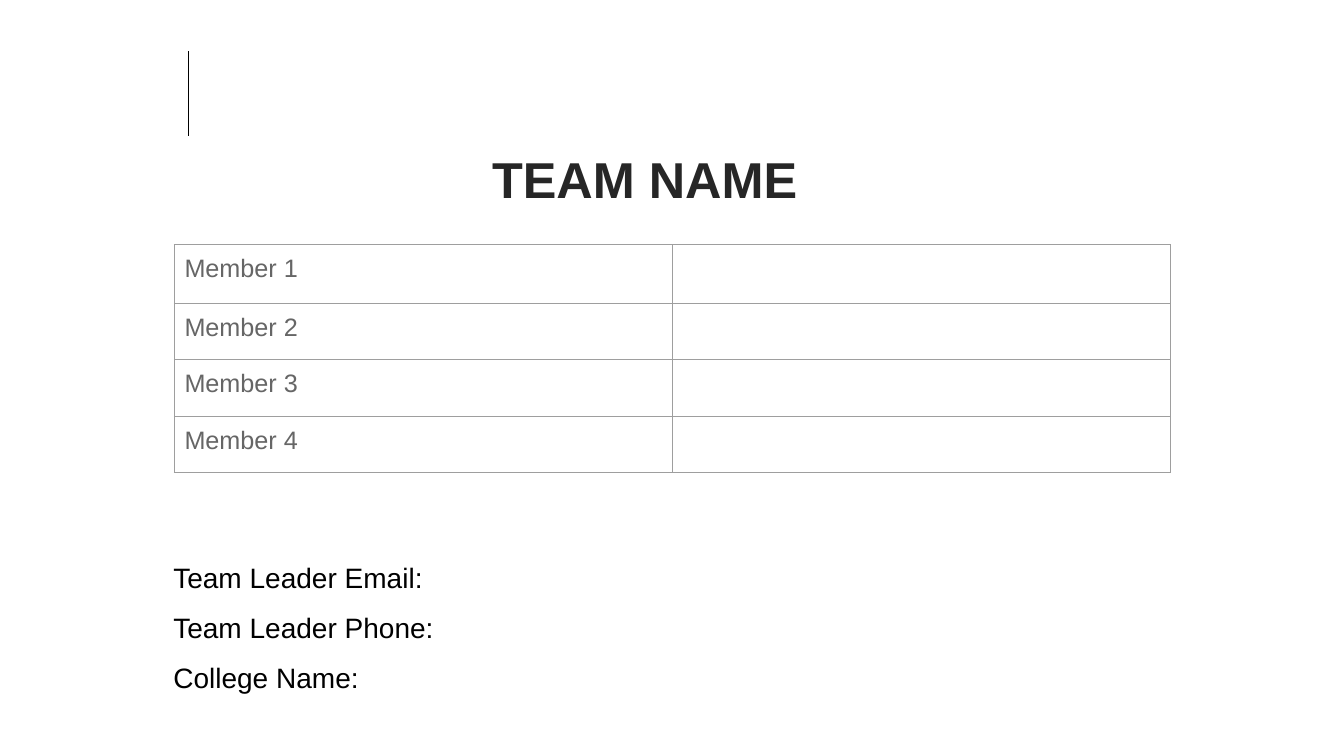
import pptx
import pptx.util
import pptx.dml.color
import pptx.enum.shapes
import pptx.enum.text
import pptx.oxml
import pptx.oxml.ns
from pptx.util import Inches

BLACK = pptx.dml.color.RGBColor(0x00, 0x00, 0x00)
TITLE_GREY = pptx.dml.color.RGBColor(0x26, 0x26, 0x26)
CELL_GREY = pptx.dml.color.RGBColor(0x66, 0x66, 0x66)
BORDER_GREY = pptx.dml.color.RGBColor(0x9E, 0x9E, 0x9E)

TITLE_ONLY = 5
LINE_WIDTH = pptx.util.Pt(0.75)


class TeamPage:
    """Holds the style and the current slide."""

    font_name = "Arial"

    def __init__(self, deck):
        self.page = deck.slides.add_slide(deck.slide_layouts[TITLE_ONLY])

    def style(self, para, size, color, bold=False):
        para.font.name = self.font_name
        para.font.size = pptx.util.Pt(size)
        para.font.color.rgb = color
        para.font.bold = bold

    def frame(self, box, vertical_inset):
        frame = box.text_frame
        frame.word_wrap = True
        frame.auto_size = pptx.enum.text.MSO_AUTO_SIZE.SHAPE_TO_FIT_TEXT
        frame.vertical_anchor = pptx.enum.text.MSO_ANCHOR.TOP
        frame.margin_left = frame.margin_right = Inches(0.1)
        frame.margin_top = frame.margin_bottom = Inches(vertical_inset)
        return frame

    def line(self, x1, y1, x2, y2):
        line = self.page.shapes.add_connector(
            pptx.enum.shapes.MSO_CONNECTOR.STRAIGHT,
            Inches(x1), Inches(y1), Inches(x2), Inches(y2))
        line.line.color.rgb = BLACK
        line.line.width = LINE_WIDTH
        properties = line.element.find(pptx.oxml.ns.qn("p:spPr"))
        properties.append(pptx.oxml.parse_xml(
            f'<a:effectLst {pptx.oxml.ns.nsdecls("a")}/>'))

    def title(self, text, left, top, width, height):
        box = self.page.shapes.title
        box.left, box.top = Inches(left), Inches(top)
        box.width, box.height = Inches(width), Inches(height)
        para = self.frame(box, 0.05).paragraphs[0]
        para.text = text
        para.alignment = pptx.enum.text.PP_ALIGN.CENTER
        self.style(para, 36, TITLE_GREY, bold=True)

    def text(self, lines, left, top, width, height):
        box = self.page.shapes.add_textbox(
            Inches(left), Inches(top), Inches(width), Inches(height))
        frame = self.frame(box, 0.1)
        frame.text = "\n".join(lines)
        for para in frame.paragraphs:
            para.line_spacing = 1.5
            self.style(para, 20, BLACK)

    def border(self, cell):
        properties = cell._tc.get_or_add_tcPr()
        for side in ("lnL", "lnR", "lnT", "lnB"):
            properties.append(pptx.oxml.parse_xml(
                f'<a:{side} {pptx.oxml.ns.nsdecls("a")} w="{LINE_WIDTH}">'
                f'<a:solidFill><a:srgbClr val="{BORDER_GREY}"/></a:solidFill>'
                f'</a:{side}>'))

    def table(self, rows, left, top, column_width, row_heights):
        columns = len(rows[0])
        table = self.page.shapes.add_table(
            len(rows), columns, Inches(left), Inches(top),
            Inches(column_width * columns), Inches(sum(row_heights))).table
        table.first_row = table.horz_banding = False
        for column in table.columns:
            column.width = Inches(column_width)
        for row, height, values in zip(table.rows, row_heights, rows):
            row.height = Inches(height)
            for cell, value in zip(row.cells, values):
                cell.text = value
                cell.margin_left = cell.margin_right = Inches(0.1)
                cell.margin_top = cell.margin_bottom = Inches(0.1)
                self.style(cell.text_frame.paragraphs[0], 18, CELL_GREY)
                self.border(cell)
                cell.fill.background()


def main():
    deck = pptx.Presentation()
    deck.slide_width, deck.slide_height = Inches(13.33), Inches(7.5)
    team = TeamPage(deck)

    # Heading
    team.line(1.87, 0.51, 1.87, 1.35)
    team.title("TEAM NAME", 1.02, 1.42, 10.75, 1.01)

    # Contact details
    team.text(["Team Leader Email:", "Team Leader Phone:", "College Name:"],
              1.62, 5.29, 9.98, 1.55)

    # Members
    members = [(f"Member {number}", "") for number in range(1, 5)]
    team.table(members, 1.73, 2.43, 4.94, [0.58, 0.56, 0.56, 0.56])

    deck.save("out.pptx")


if __name__ == "__main__":
    main()
